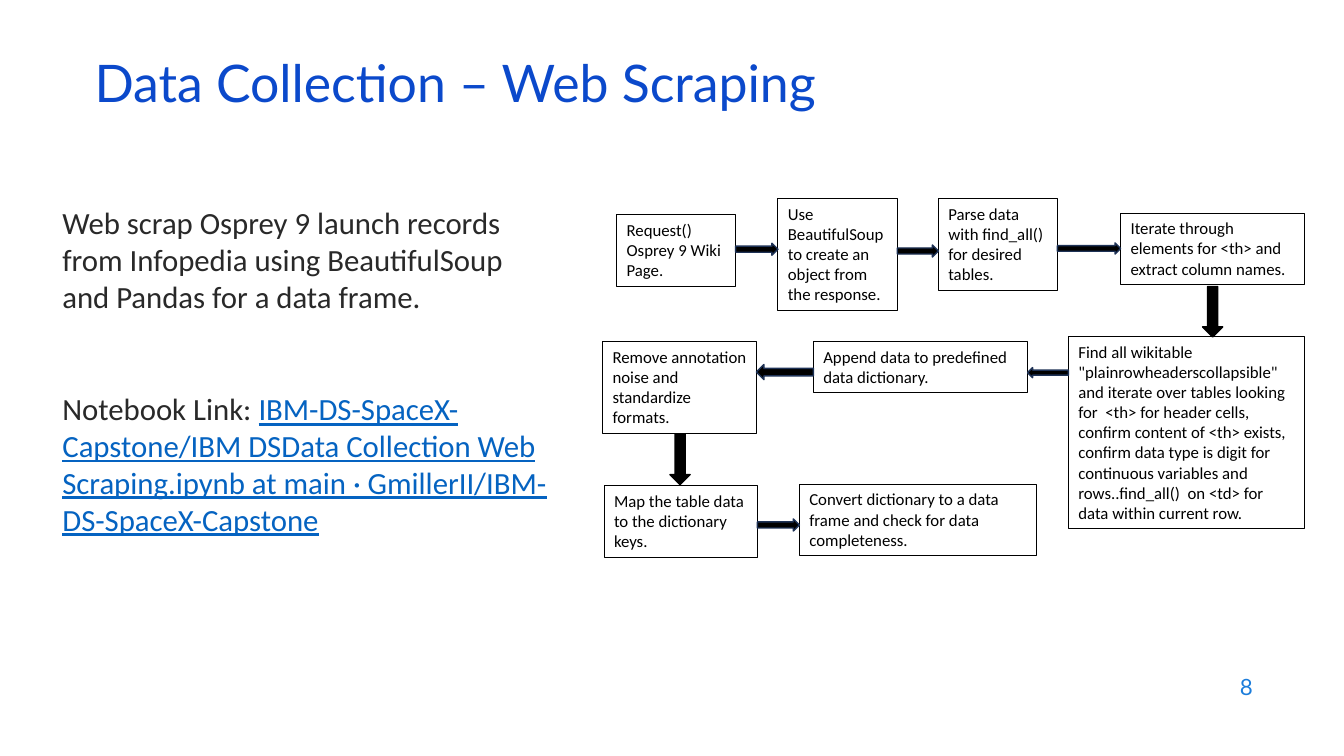
import pptx
import pptx.util
import pptx.dml.color
import pptx.enum.shapes
import pptx.enum.text

Pt = pptx.util.Pt
RGBColor = pptx.dml.color.RGBColor
MSO_SHAPE = pptx.enum.shapes.MSO_SHAPE
PP_ALIGN = pptx.enum.text.PP_ALIGN
MIDDLE = pptx.enum.text.MSO_ANCHOR.MIDDLE

TITLE_BLUE = RGBColor(0x0B, 0x49, 0xCB)
NUMBER_BLUE = RGBColor(0x1C, 0x7D, 0xDB)
LINK_BLUE = RGBColor(0x05, 0x63, 0xC1)
DARK_GRAY = RGBColor(0x29, 0x29, 0x29)
NAVY = RGBColor(0x1E, 0x32, 0x56)
BLACK = RGBColor(0, 0, 0)
WHITE = RGBColor(0xFF, 0xFF, 0xFF)


def add_run(p, text, size, color, font="Calibri"):
    r = p.add_run()
    r.text = text
    r.font.size = Pt(size)
    r.font.name = font
    r.font.color.rgb = color
    return r


def add_flow_shape(kind, left, top, width, height, fill, line, line_width):
    sp = s.shapes.add_shape(kind, Pt(left), Pt(top), Pt(width), Pt(height))
    sp.shadow.inherit = False
    sp.fill.solid()
    sp.fill.fore_color.rgb = fill
    sp.line.color.rgb = line
    sp.line.width = Pt(line_width)
    return sp


prs = pptx.Presentation()
prs.slide_width, prs.slide_height = Pt(960), Pt(540)
s = prs.slides.add_slide(prs.slide_layouts[6])

# Title
tf = s.shapes.add_textbox(Pt(60.5), Pt(42.5), Pt(828), Pt(43)).text_frame
tf.word_wrap = True
tf.vertical_anchor = MIDDLE
p = tf.paragraphs[0]
p.line_spacing = 0.7
add_run(p, "Data Collection – Web Scraping", 37, TITLE_BLUE, "Lato")

# Body
tf = s.shapes.add_textbox(Pt(37.5), Pt(142), Pt(365), Pt(332.5)).text_frame
tf.word_wrap = True
add_run(tf.paragraphs[0],
        "Web scrap Osprey 9 launch records from Infopedia using "
        "BeautifulSoup and Pandas for a data frame.", 22, DARK_GRAY)
p = tf.add_paragraph()
p.space_before = Pt(54)
add_run(p, "Notebook Link: ", 22, DARK_GRAY)
r = add_run(p, "IBM-DS-SpaceX-Capstone/IBM DSData Collection Web Scraping.ipynb "
            "at main · GmillerII/IBM-DS-SpaceX-Capstone", 22, LINK_BLUE)
r.font.underline = True

# Slide number
tf = s.shapes.add_textbox(Pt(686), Pt(474.5), Pt(216), Pt(31.5)).text_frame
tf.word_wrap = True
tf.vertical_anchor = MIDDLE
tf.paragraphs[0].alignment = PP_ALIGN.RIGHT
add_run(tf.paragraphs[0], "8", 16, NUMBER_BLUE, "Lato")

# Steps: left, top, width, number of text lines, text
steps = {
    "request": (440.5, 153.4, 85, 3, "Request() Osprey 9 Wiki Page."),
    "soup": (555.7, 141.8, 85.2, 5,
             "Use BeautifulSoup to create an object from the response."),
    "parse": (670.3, 141.8, 85, 4,
              "Parse data with find_all() for desired tables."),
    "iterate": (800.5, 152.2, 131.2, 3,
                "Iterate through elements for <th> and extract column names."),
    "find": (763.2, 240.3, 168.5, 9,
             'Find all wikitable "plainrowheaderscollapsible" and iterate over '
             "tables looking for  <th> for header cells, confirm content of "
             "<th> exists,  confirm data type is digit for continuous "
             "variables and rows..find_all()  on <td> for data within current row."),
    "append": (581, 244, 153, 2, "Append data to predefined data dictionary."),
    "remove": (430.5, 244, 109.8, 4,
               "Remove annotation noise and standardize formats."),
    "map": (431.5, 347, 109.5, 3, "Map the table data to the dictionary keys."),
    "convert": (571, 345.8, 169.7, 3,
                "Convert dictionary to a data frame and check for data completeness."),
}
for left, top, width, lines, text in steps.values():
    sp = add_flow_shape(MSO_SHAPE.RECTANGLE, left, top, width,
                        lines * 14.4 + 7.8, WHITE, BLACK, 0.75)
    tf = sp.text_frame
    tf.word_wrap = True
    tf.vertical_anchor = pptx.enum.text.MSO_ANCHOR.TOP
    tf.paragraphs[0].alignment = PP_ALIGN.LEFT
    add_run(tf.paragraphs[0], text, 12, BLACK)

# Horizontal arrows fill the gap between two neighbouring steps
RIGHT, LEFT = MSO_SHAPE.RIGHT_ARROW, MSO_SHAPE.LEFT_ARROW
for kind, before, after, middle, thickness in [
    (RIGHT, "request", "soup", 178, 8.6),
    (RIGHT, "soup", "parse", 179.3, 8.6),
    (RIGHT, "parse", "iterate", 177.5, 8),
    (LEFT, "append", "find", 266.2, 7.2),
    (LEFT, "remove", "append", 265.8, 10.8),
    (RIGHT, "map", "convert", 375, 8.6),
]:
    start = steps[before][0] + steps[before][2]
    add_flow_shape(kind, start, middle - thickness / 2,
                   steps[after][0] - start, thickness, BLACK, NAVY, 1)

for left, top in [(859, 204.7), (478.6, 310.2)]:
    add_flow_shape(MSO_SHAPE.DOWN_ARROW, left, top, 14.4, 36, BLACK, BLACK, 1)

prs.save("out.pptx")
